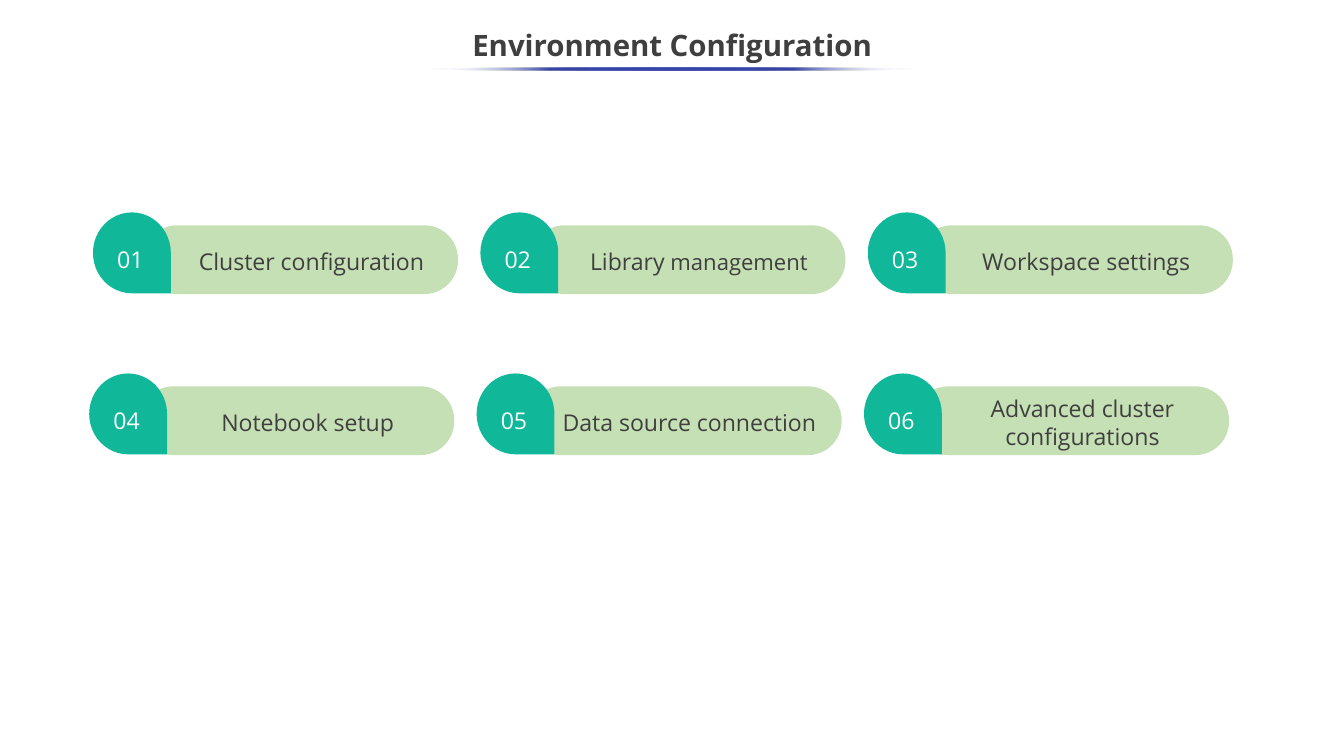
import pptx
import pptx.dml.color
import pptx.enum.shapes
import pptx.enum.text
import pptx.oxml
import pptx.oxml.ns
import pptx.util

Inches = pptx.util.Inches
RGBColor = pptx.dml.color.RGBColor
SHAPE = pptx.enum.shapes.MSO_SHAPE
ALIGN = pptx.enum.text.PP_ALIGN
MIDDLE = pptx.enum.text.MSO_ANCHOR.MIDDLE

DARK = RGBColor(0x3F, 0x3F, 0x3F)
WHITE = RGBColor(0xFF, 0xFF, 0xFF)
GREEN = RGBColor(0xC5, 0xE0, 0xB4)
TEAL = RGBColor(0x10, 0xB8, 0x99)
BLUE = RGBColor(0x36, 0x45, 0xA9)
FONT = "Open Sans"


def add_plain_shape(page, kind, left, top, width, height, color):
    """Add a preset shape with a solid fill, no line and no shadow."""
    shape = page.shapes.add_shape(
        kind, Inches(left), Inches(top), Inches(width), Inches(height))
    shape.shadow.inherit = False
    shape.fill.solid()
    shape.fill.fore_color.rgb = color
    shape.line.fill.background()
    return shape


def add_text(page, left, top, width, height, runs, color, align):
    """Add a one-paragraph text box from (text, size) runs."""
    box = page.shapes.add_textbox(
        Inches(left), Inches(top), Inches(width), Inches(height))
    frame = box.text_frame
    frame.word_wrap = True
    frame.vertical_anchor = MIDDLE
    frame.margin_left = frame.margin_right = Inches(0.04)
    frame.margin_top = frame.margin_bottom = Inches(0.04)
    para = frame.paragraphs[0]
    para.alignment = align
    for text, size in runs:
        span = para.add_run()
        span.text = text
        span.font.name = FONT
        span.font.size = pptx.util.Pt(size)
        span.font.color.rgb = color


deck = pptx.Presentation()
deck.slide_width = Inches(17.78)
deck.slide_height = Inches(10)
page = deck.slides.add_slide(deck.slide_layouts[5])

# Title and its fading underline
title = page.shapes.title
title.left, title.top = Inches(-0.01), Inches(0.25)
title.width, title.height = Inches(17.8), Inches(0.75)
title.text_frame.text = "Environment Configuration"
title.text_frame.vertical_anchor = MIDDLE
para = title.text_frame.paragraphs[0]
para.alignment = ALIGN.CENTER
para.line_spacing = 0.9
span = para.runs[0]
span.font.name = FONT
span.font.size = pptx.util.Pt(28)
span.font.bold = True
span.font.color.rgb = DARK

underline = add_plain_shape(page, SHAPE.OVAL, 5.68, 0.89, 6.41, 0.04, BLUE)
underline.fill.gradient()
underline.fill.gradient_angle = 180
stops = underline.fill._fill._gradFill.find(pptx.oxml.ns.qn("a:gsLst"))
for stop in list(stops):
    stops.remove(stop)
for percent, color, opacity in [(0, WHITE, 0), (25, BLUE, 100), (50, BLUE, 100),
                                (75, BLUE, 100), (100, WHITE, 0)]:
    stops.append(pptx.oxml.parse_xml(
        f'<a:gs {pptx.oxml.ns.nsdecls("a")} pos="{percent * 1000}">'
        f'<a:srgbClr val="{color}"><a:alpha val="{opacity * 1000}"/></a:srgbClr></a:gs>'))

# Topic cards: three per row, each a pill, a drop and its number
# Each topic: text runs, label width, label height
TOPICS = [
    ([("Cluster configuration", 22)], 3.68, 0.51),
    ([("Library", 22), (" management", 21)], 3.68, 0.51),
    ([("Workspace settings", 22)], 3.68, 0.51),
    ([("Notebook setup", 22)], 3.68, 0.51),
    ([("Data source connection", 22)], 3.53, 0.51),
    ([("Advanced cluster configurations", 22)], 3.68, 0.93),
]
ROW_STARTS = [(1.9, 2.98), (1.85, 5.11)]
COLUMN_PITCH = 5.125
PILL_WIDTH, PILL_HEIGHT = 4.16, 0.91

for index, (runs, label_width, label_height) in enumerate(TOPICS):
    row, column = divmod(index, 3)
    row_left, top = ROW_STARTS[row]
    left = row_left + column * COLUMN_PITCH

    pill = add_plain_shape(page, SHAPE.ROUNDED_RECTANGLE, left, top,
                           PILL_WIDTH, PILL_HEIGHT, GREEN)
    pill.adjustments[0] = 0.49
    label_top = top + 0.02 + (PILL_HEIGHT - label_height) / 2
    add_text(page, left + 0.38, label_top, label_width, label_height,
             runs, DARK, ALIGN.CENTER)

    drop = add_plain_shape(page, SHAPE.TEAR, left - 0.69, top - 0.15, 1.07, 1.03, TEAL)
    drop.rotation = 90
    add_text(page, left - 0.39, top + 0.25, 1.52, 0.4,
             [(f"{index + 1:02d}", 22)], WHITE, ALIGN.LEFT)

deck.save("out.pptx")
